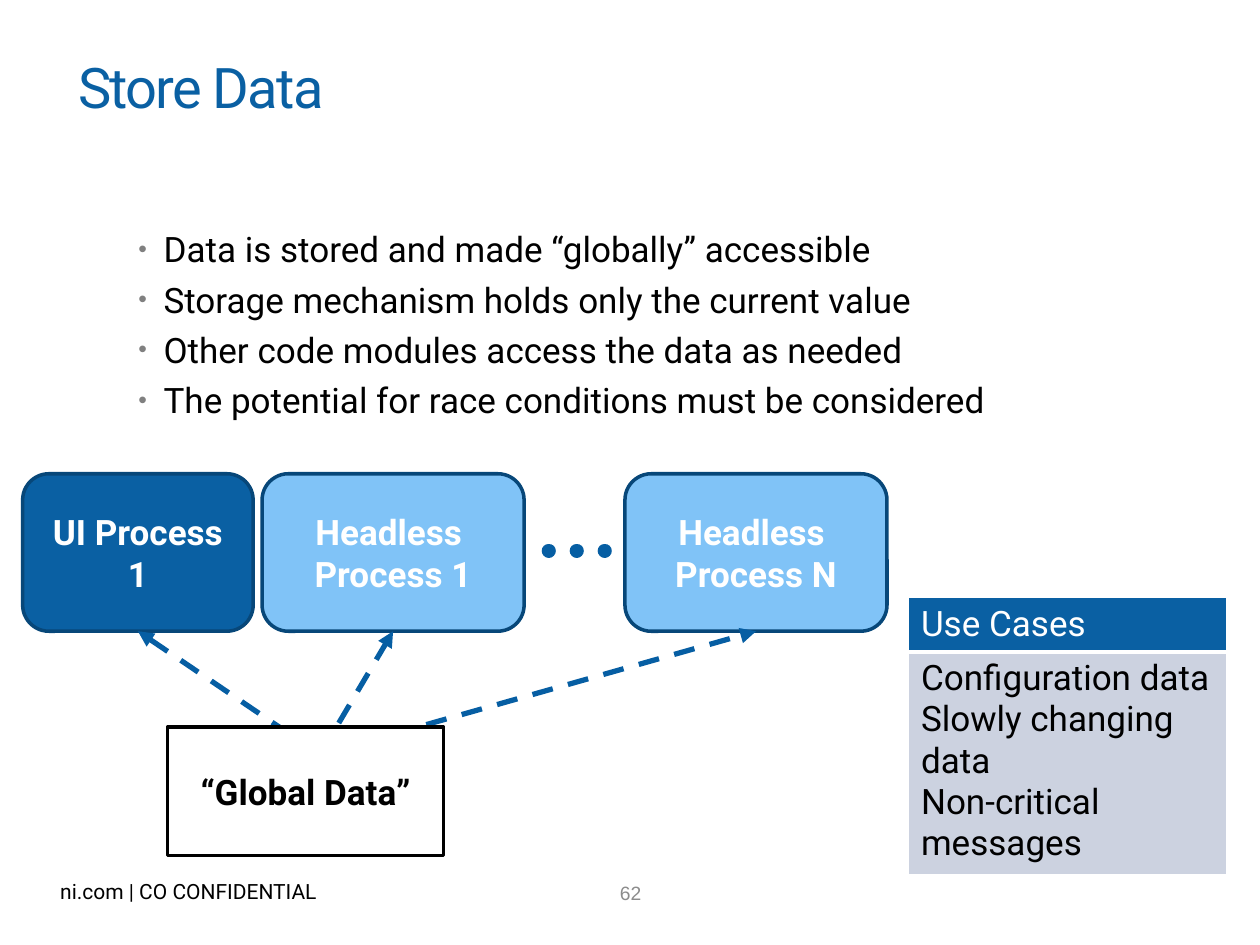
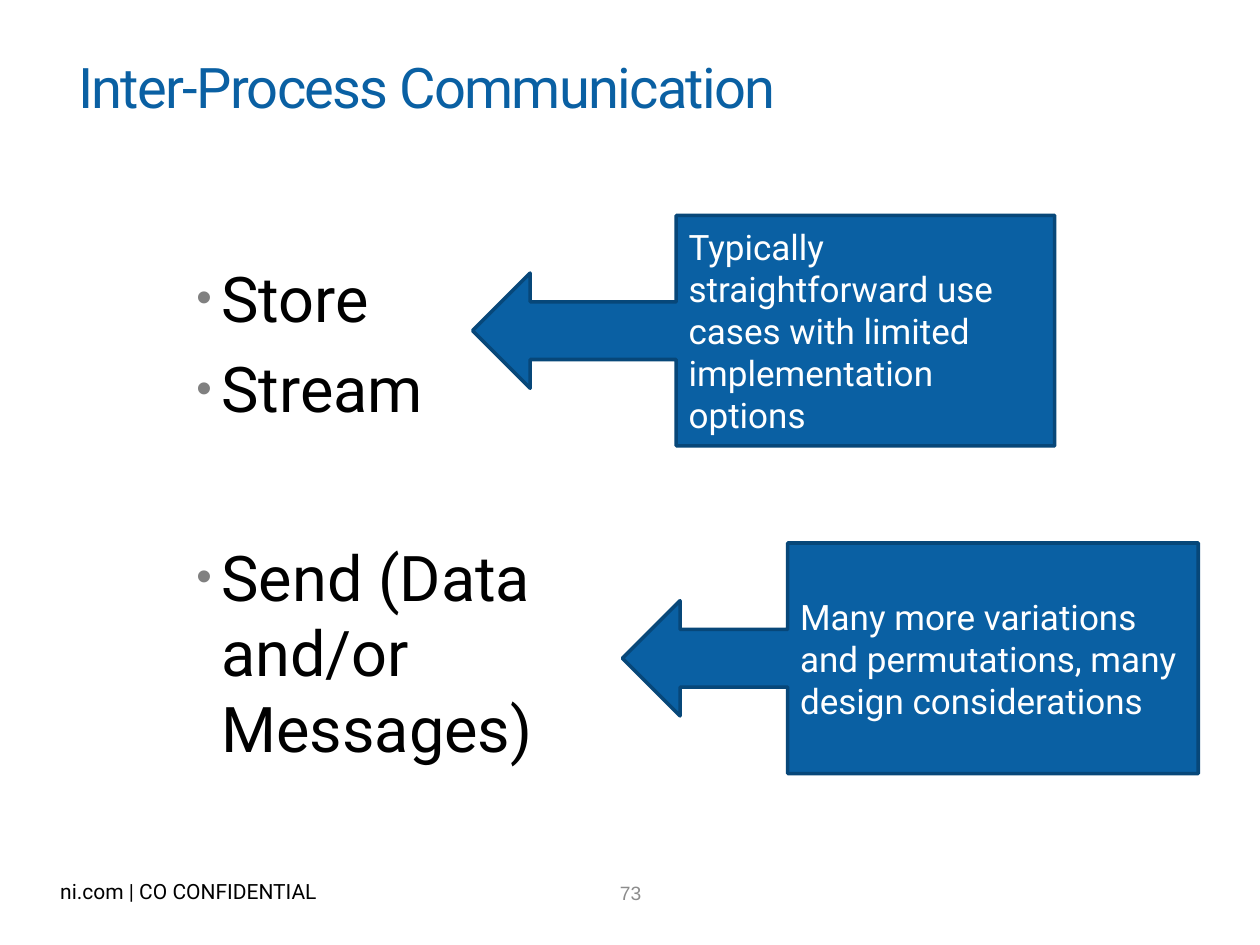
from dataclasses import dataclass

from lxml.etree import SubElement
from pptx import Presentation
from pptx.dml.color import RGBColor
from pptx.enum.dml import MSO_LINE
from pptx.enum.shapes import MSO_CONNECTOR, MSO_SHAPE
from pptx.enum.text import MSO_ANCHOR, PP_ALIGN
from pptx.oxml.ns import qn
from pptx.util import Emu, Inches, Pt

COLUMNS, ROWS = 100, 75
WIDTH, HEIGHT = Inches(10), Inches(7.5)


@dataclass(frozen=True)
class Theme:
    """Colours, fonts and type sizes shared by the slides."""

    blue: str = "0A60A3"
    arrow: str = "065EA3"
    outline: str = "074779"
    sky: str = "80C3F7"
    panel: str = "CCD2E0"
    bullet: str = "808080"
    number: str = "8C8C8C"
    black: str = "000000"
    white: str = "FFFFFF"
    font: str = "Roboto"
    number_font: str = "Arial"
    title: int = 32
    large: int = 36
    text: int = 20
    footer: int = 12
    page: int = 11


THEME = Theme()


@dataclass(frozen=True)
class Box:
    """A region of the slide in grid columns and rows."""

    left: float
    top: float
    cols: float
    rows: float

    def inner(self, col, row, cols, rows):
        """Return a region placed relative to this one."""
        return Box(self.left + col, self.top + row, cols, rows)

    def point(self, col, row):
        """Return the slide position of a point inside this region."""
        return (Emu(round((self.left + col) * WIDTH / COLUMNS)),
                Emu(round((self.top + row) * HEIGHT / ROWS)))

    def place(self):
        """Return left, top, width and height as lengths."""
        return (*self.point(0, 0), Emu(round(self.cols * WIDTH / COLUMNS)),
                Emu(round(self.rows * HEIGHT / ROWS)))


def rgb(value):
    """Turn a hex string into a colour."""
    return RGBColor.from_string(value)


def write(frame, text, size, color, align=PP_ALIGN.LEFT, bold=False, font=THEME.font):
    """Fill a text frame and format all its runs alike."""
    frame.text = text
    for paragraph in frame.paragraphs:
        paragraph.alignment = align
        for run in paragraph.runs:
            run.font.size, run.font.name, run.font.bold = Pt(size), font, bold
            run.font.color.rgb = rgb(color)


def add_block(slide, kind, box, text, fill, outline=THEME.outline,
              color=THEME.white, align=PP_ALIGN.CENTER, bold=True):
    """Add a filled, outlined shape with text."""
    block = slide.shapes.add_shape(kind, *box.place())
    block.shadow.inherit = False
    block.fill.solid()
    block.fill.fore_color.rgb = rgb(fill)
    block.line.color.rgb = rgb(outline)
    block.line.width = Pt(2)
    block.text_frame.word_wrap = True
    block.text_frame.vertical_anchor = MSO_ANCHOR.MIDDLE
    write(block.text_frame, text, THEME.text, color, align, bold)
    return block


def add_line(slide, start, end, width, dash):
    """Add a dashed connector without shadow and return it."""
    line = slide.shapes.add_connector(MSO_CONNECTOR.STRAIGHT, *start, *end)
    line.line.color.rgb = rgb(THEME.arrow)
    line.line.width = Pt(width)
    line.line.dash_style = dash
    SubElement(line._element.spPr, qn("a:effectLst"))
    return line


def add_bullets(slide, box, groups, size, group_gap=0):
    """Add bulleted paragraphs, with a wider gap between groups."""
    frame = slide.shapes.add_textbox(*box.place()).text_frame
    frame.word_wrap = True
    write(frame, "\n".join(item for group in groups for item in group), size, THEME.black)
    openers = {group[0] for group in groups[1:]}
    for index, paragraph in enumerate(frame.paragraphs):
        properties = paragraph._p.get_or_add_pPr()
        properties.set("marL", str(Inches(0.7)))
        properties.set("indent", str(Inches(-0.2)))
        SubElement(SubElement(properties, qn("a:buClr")), qn("a:srgbClr"), val=THEME.bullet)
        SubElement(properties, qn("a:buSzPct"), val="70000")
        SubElement(properties, qn("a:buFont"), typeface=THEME.number_font)
        SubElement(properties, qn("a:buChar"), char="•")
        if index:
            extra = group_gap if paragraph.text in openers else 0
            paragraph.space_before = Pt(round(size * 0.235 + extra, 1))


def add_footer(slide, box, page):
    """Add the confidentiality line and the page number."""
    notice = slide.shapes.add_textbox(*box.inner(0, 0, 23.7, 3).place()).text_frame
    notice.word_wrap = False
    write(notice, "ni.com | CO CONFIDENTIAL", THEME.footer, THEME.black)
    number = slide.shapes.add_textbox(*box.inner(44.3, 0.2, 3.9, 3).place()).text_frame
    number.word_wrap = False
    number.vertical_anchor = MSO_ANCHOR.MIDDLE
    write(number, page, THEME.page, THEME.number, PP_ALIGN.CENTER, font=THEME.number_font)


def start_slide(deck, heading, page):
    """Add a slide with its title and footer."""
    slide = deck.slides.add_slide(deck.slide_layouts[5])
    title = slide.shapes.title
    title.left, title.top, title.width, title.height = Box(5.2, 1.6, 89.3, 10.5).place()
    title.text_frame.vertical_anchor = MSO_ANCHOR.MIDDLE
    write(title.text_frame, heading, THEME.title, THEME.blue)
    for run in title.text_frame.paragraphs[0].runs:
        run._r.get_or_add_rPr().set("spc", "-100")
    add_footer(slide, Box(3.8, 69.2, 92, 3), page)
    return slide


def set_borders(cell, widths):
    """Give the sides of a cell white borders of the given widths."""
    properties = cell._tc.get_or_add_tcPr()
    for index, (side, width) in enumerate(widths.items()):
        border = properties.makeelement(qn(f"a:ln{side}"), {"w": str(Pt(width))})
        SubElement(SubElement(border, qn("a:solidFill")), qn("a:srgbClr"), val=THEME.white)
        properties.insert(index, border)


def add_use_cases(slide, box):
    """Add the table of use cases."""
    table = slide.shapes.add_table(2, 1, *box.place()).table
    header_height = box.inner(0, 0, box.cols, 4.2).place()[3]
    table.rows[0].height = header_height
    table.rows[1].height = box.place()[3] - header_height
    cases = "Configuration data\nSlowly changing data\nNon-critical messages"
    for cell, text, fill, color, bottom in (
            (table.cell(0, 0), "Use Cases", THEME.blue, THEME.white, 3),
            (table.cell(1, 0), cases, THEME.panel, THEME.black, 1)):
        cell.fill.solid()
        cell.fill.fore_color.rgb = rgb(fill)
        write(cell.text_frame, text, THEME.text, color)
        set_borders(cell, {"L": 1, "R": 1, "T": 1, "B": bottom})


def add_process_diagram(slide, box):
    """Add the processes, all fed from the global data."""
    processes = [
        add_block(slide, MSO_SHAPE.ROUNDED_RECTANGLE, box.inner(col, 0, cols, 12.5), text, fill)
        for col, cols, text, fill in (
            (0, 18.3, "UI Process 1", THEME.blue),
            (19, 20.8, "Headless \nProcess 1", THEME.sky),
            (47.8, 20.8, "Headless \nProcess N", THEME.sky))]
    source = box.point(23.6, 22.3)
    for process in processes:
        feed = add_line(slide, source, source, 3, MSO_LINE.DASH)
        feed.end_connect(process, 2)
        SubElement(feed._element.spPr.get_or_add_ln(), qn("a:tailEnd"), type="triangle")
    ellipsis = add_line(slide, box.point(46.2, 6.1), box.point(41.3, 6.1), 8, MSO_LINE.ROUND_DOT)
    ellipsis._element.spPr.get_or_add_ln().set("cap", "rnd")
    add_block(slide, MSO_SHAPE.RECTANGLE, box.inner(11.5, 20.1, 21.9, 10.2),
              "“Global Data”", THEME.white, THEME.black, THEME.black)


def add_callout(slide, box, text, body_share):
    """Add a left arrow callout whose body takes the given share of its width."""
    callout = add_block(slide, MSO_SHAPE.LEFT_ARROW_CALLOUT, box, text, THEME.blue,
                        align=PP_ALIGN.LEFT, bold=False)
    callout.adjustments[3] = body_share


def build_store_data(deck):
    """Build the slide on stored data."""
    slide = start_slide(deck, "Store Data", "62")
    add_bullets(slide, Box(5, 17.6, 90, 17.6), [[
        "Data is stored and made “globally” accessible",
        "Storage mechanism holds only the current value",
        "Other code modules access the data as needed",
        "The potential for race conditions must be considered"]], THEME.text)
    add_process_diagram(slide, Box(1.8, 37.6, 68.6, 30.3))
    add_use_cases(slide, Box(72.1, 47.4, 25.3, 21.5))


def build_communication(deck):
    """Build the slide comparing the ways to communicate."""
    slide = start_slide(deck, "Inter-Process Communication", "73")
    add_bullets(slide, Box(9.6, 20.1, 41.9, 41),
                [["Store", "Stream"], ["Send (Data and/or Messages)"]], THEME.large, 56)
    add_callout(slide, Box(37.5, 17.1, 46.2, 18.3),
                "Typically straightforward use cases with limited implementation options", 0.65)
    add_callout(slide, Box(49.4, 43.1, 45.7, 18.3),
                "Many more variations and permutations, many design considerations", 0.713)


def main():
    """Build and save the deck."""
    deck = Presentation()
    deck.slide_width, deck.slide_height = WIDTH, HEIGHT
    build_store_data(deck)
    build_communication(deck)
    deck.save("out.pptx")


if __name__ == "__main__":
    main()
